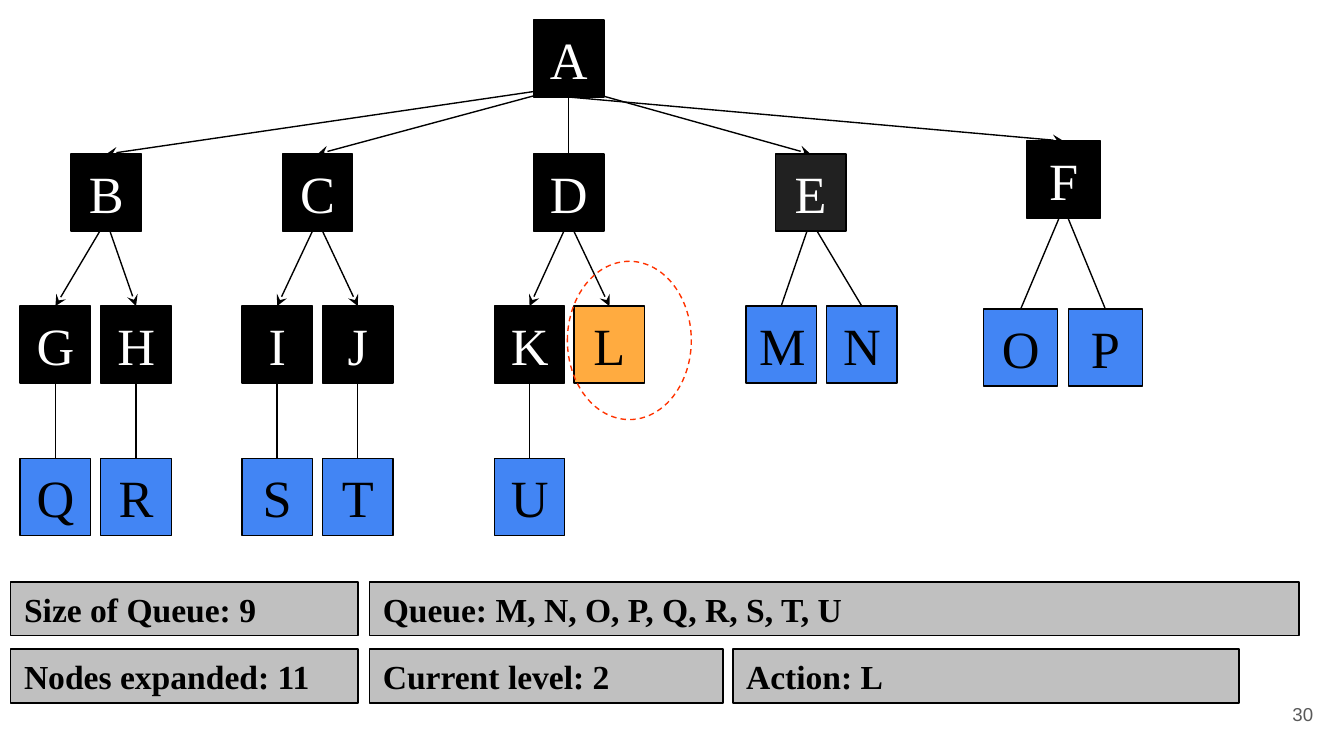
from lxml.etree import SubElement
from pptx import Presentation
from pptx.dml.color import RGBColor
from pptx.enum.dml import MSO_LINE
from pptx.enum.shapes import MSO_CONNECTOR, MSO_SHAPE
from pptx.enum.text import MSO_ANCHOR as ANCHOR, MSO_AUTO_SIZE as AUTO, PP_ALIGN as ALIGN
from pptx.oxml.ns import qn
from pptx.util import Pt

BLACK = RGBColor(0x00, 0x00, 0x00)
WHITE = RGBColor(0xFF, 0xFF, 0xFF)
CHARCOAL = RGBColor(0x21, 0x21, 0x21)
BLUE = RGBColor(0x42, 0x85, 0xF4)
ORANGE = RGBColor(0xFF, 0xAB, 0x40)
SILVER = RGBColor(0xC0, 0xC0, 0xC0)
RED = RGBColor(0xFF, 0x33, 0x00)
GREY = RGBColor(0x59, 0x59, 0x59)

SERIF = "Times New Roman"
NODE_W, WIDE_NODE_W, NODE_H = 37.8, 39.6, 41.2
EDGE_DROP = 35.5  # edges start just inside the parent's bottom side
STATUS_H = 28.8

# Rows of the tree: top, node letters with their left sides
ROWS = [
    (10.8, {"A": 285.8}),
    (82.6, {"B": 38, "C": 151.2, "D": 285.8, "E": 415.4}),
    (75.6, {"F": 550}),
    (164, {"G": 10.8, "H": 54, "I": 129.6, "J": 172.8, "K": 264.8, "L": 307.6,
           "M": 399.6, "N": 442.8}),
    (165.6, {"O": 527, "P": 572.4}),
    (245.6, {"Q": 10.8, "R": 54, "S": 129.6, "T": 172.8, "U": 264.8}),
]
NODES = {letter: (left, top) for top, row in ROWS for letter, left in row.items()}

CHILDREN = {"A": "BCDEF", "B": "GH", "C": "IJ", "D": "KL", "E": "MN", "F": "OP",
            "G": "Q", "H": "R", "I": "S", "J": "T", "K": "U"}
ARROW_EDGES = {"AB", "AC", "AE", "AF", "BG", "BH", "CI", "CJ", "DK", "DL"}

# Status bars: text, left, top, width
STATUS = [
    ("Size of Queue: 9", 5.8, 311.8, 186),
    ("Queue: M, N, O, P, Q, R, S, T, U", 198, 311.8, 498),
    ("Nodes expanded: 11", 5.8, 347.8, 186),
    ("Current level: 2", 198, 347.8, 189.4),
    ("Action: L", 392.6, 347.8, 271.2),
]


def write_text(shape, text, *, size, color=BLACK, font=SERIF, bold=False,
               align=ALIGN.LEFT, anchor=ANCHOR.TOP, margin=3.6, auto=AUTO.NONE):
    frame = shape.text_frame
    frame.word_wrap = True
    frame.auto_size = auto
    frame.vertical_anchor = anchor
    frame.margin_left = frame.margin_right = Pt(7.2)
    frame.margin_top = frame.margin_bottom = Pt(margin)
    paragraph = frame.paragraphs[0]
    paragraph.alignment = align
    run = paragraph.add_run()
    run.text = text
    run.font.name = font
    run.font.size = Pt(size)
    run.font.bold = bold
    run.font.color.rgb = color


def add_box(slide, left, top, width, height, fill):
    box = slide.shapes.add_shape(MSO_SHAPE.RECTANGLE, Pt(left), Pt(top), Pt(width), Pt(height))
    box.shadow.inherit = False
    box.fill.solid()
    box.fill.fore_color.rgb = fill
    box.line.color.rgb = BLACK
    box.line.width = Pt(0.75)
    return box


def node_width(letter):
    return WIDE_NODE_W if letter in "FOP" else NODE_W


def node_colors(letter):
    """Fill and text colour by search state."""
    if letter == "L":
        return ORANGE, BLACK
    if letter > "L":
        return BLUE, BLACK
    return (CHARCOAL if letter == "E" else BLACK), WHITE


def add_node(slide, letter):
    left, top = NODES[letter]
    fill, color = node_colors(letter)
    node = add_box(slide, left, top, node_width(letter), NODE_H, fill)
    write_text(node, letter, size=28, color=color, align=ALIGN.CENTER, auto=AUTO.SHAPE_TO_FIT_TEXT)


def add_edge(slide, parent, child):
    (start_x, start_y), (end_x, end_y) = NODES[parent], NODES[child]
    start_x += node_width(parent) / 2
    end_x += node_width(child) / 2
    start_y += NODE_H if child == "F" else EDGE_DROP
    edge = slide.shapes.add_connector(MSO_CONNECTOR.STRAIGHT, Pt(start_x), Pt(start_y),
                                      Pt(end_x), Pt(end_y))
    edge.line.color.rgb = BLACK
    edge.line.width = Pt(0.75)
    if parent + child in ARROW_EDGES:
        SubElement(edge.line._get_or_add_ln(), qn("a:tailEnd"), type="stealth")
    SubElement(edge._element.spPr, qn("a:effectLst"))


def add_highlight(slide):
    ring = slide.shapes.add_shape(MSO_SHAPE.OVAL, Pt(304), Pt(140), Pt(66.4), Pt(84.8))
    ring.shadow.inherit = False
    ring.fill.background()
    ring.line.color.rgb = RED
    ring.line.width = Pt(0.75)
    ring.line.dash_style = MSO_LINE.DASH


def main():
    deck = Presentation()
    deck.slide_width, deck.slide_height = Pt(720), Pt(405)
    slide = deck.slides.add_slide(deck.slide_layouts[6])

    # Slide number
    number = slide.shapes.add_textbox(Pt(667.4), Pt(367.2), Pt(43.2), Pt(31))
    write_text(number, "30", size=10, color=GREY, font="Arial", align=ALIGN.RIGHT,
               anchor=ANCHOR.MIDDLE, margin=7.2)

    # Search tree: edges lie below the nodes
    for parent, children in CHILDREN.items():
        for child in children:
            add_edge(slide, parent, child)
    for letter in NODES:
        add_node(slide, letter)

    # Status bars
    for text, left, top, width in STATUS:
        bar = add_box(slide, left, top, width, STATUS_H, SILVER)
        write_text(bar, text, size=18, bold=True, auto=AUTO.SHAPE_TO_FIT_TEXT)

    # Ring around the node being expanded
    add_highlight(slide)

    deck.save("out.pptx")


if __name__ == "__main__":
    main()
